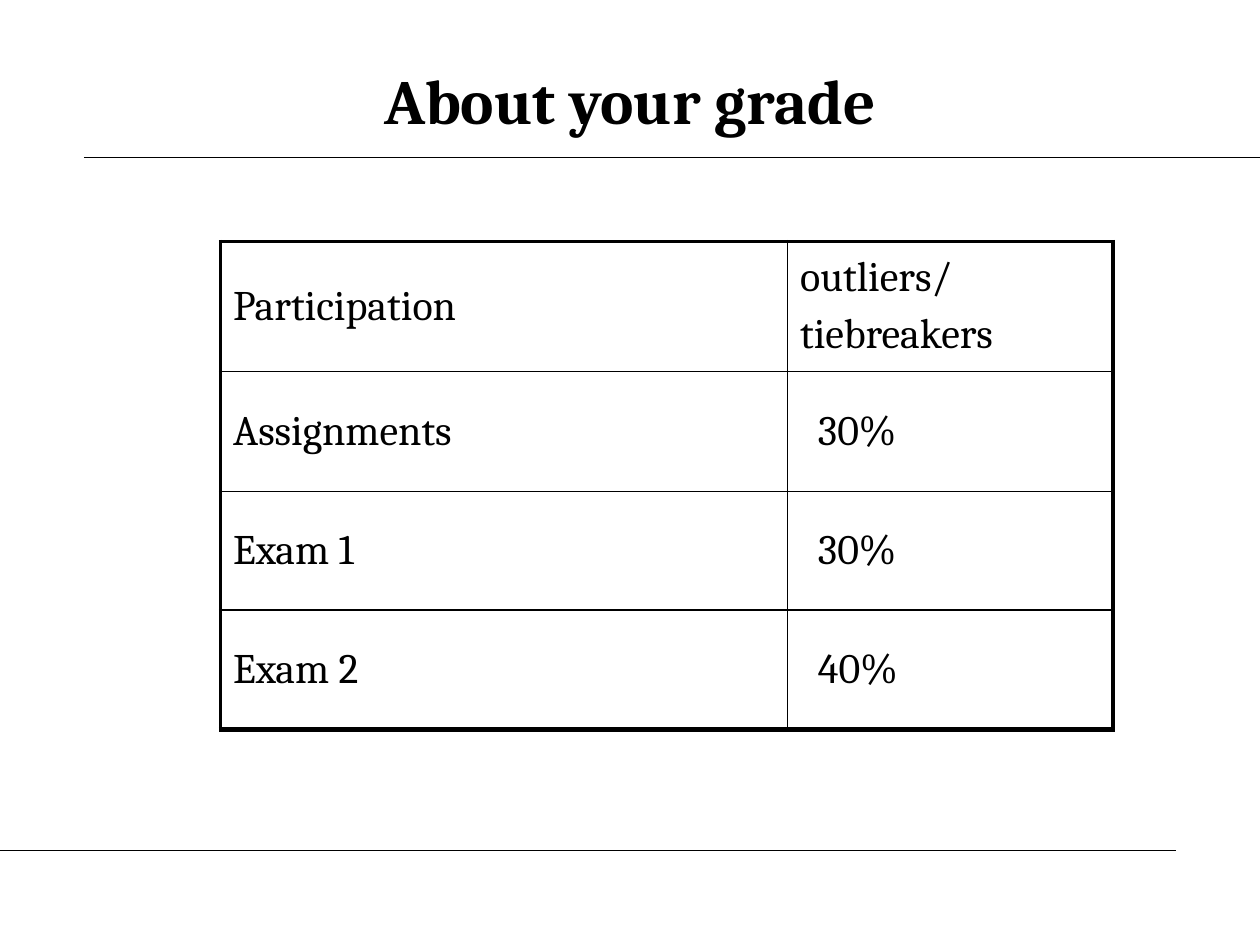
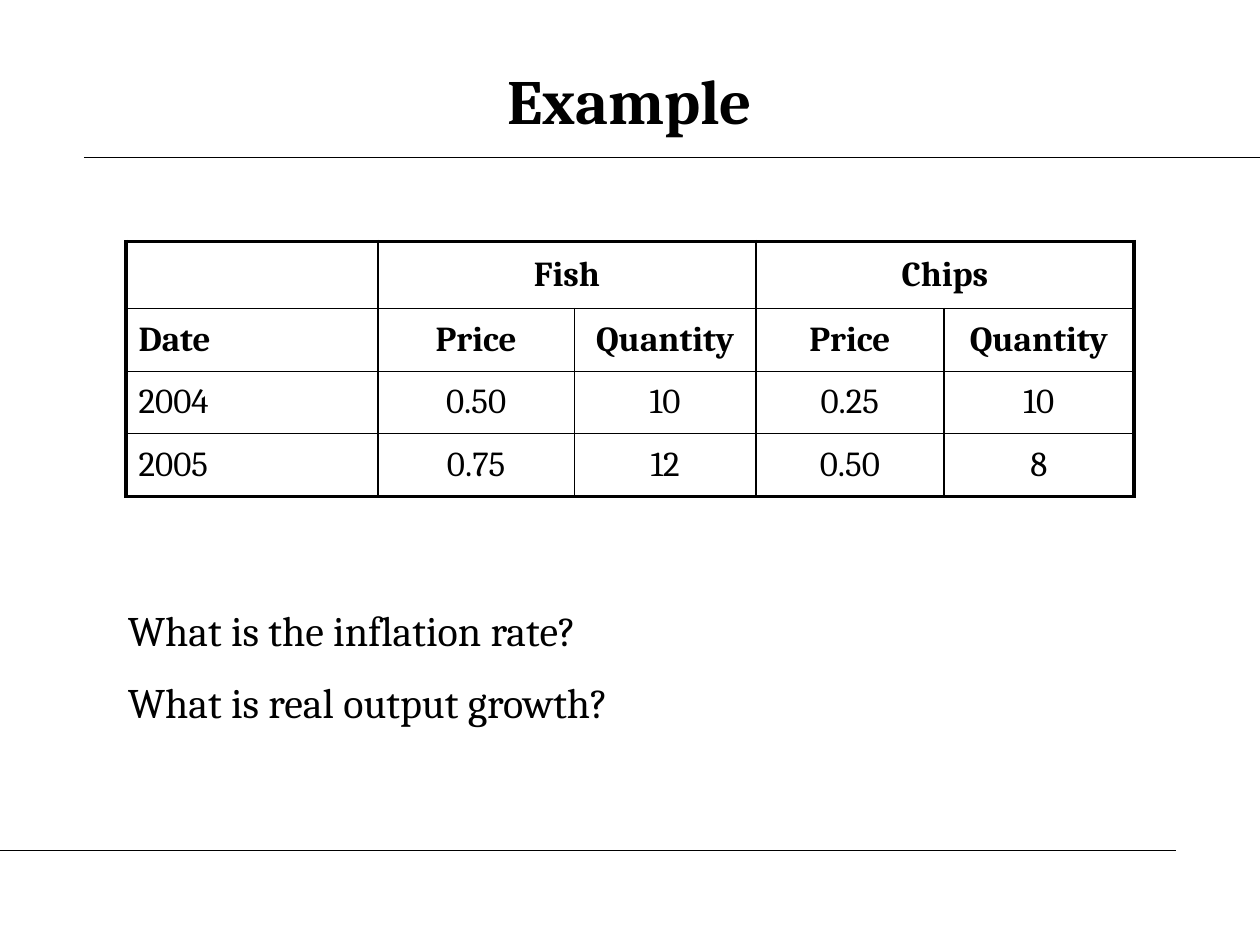
"""Build two ruled lecture slides: a grading table and a price example."""

from lxml.etree import SubElement
from pptx import Presentation
from pptx.dml.color import RGBColor
from pptx.enum.shapes import MSO_CONNECTOR
from pptx.enum.text import MSO_ANCHOR, PP_ALIGN
from pptx.oxml.ns import qn
from pptx.util import Inches, Pt

BLACK = RGBColor(0x00, 0x00, 0x00)
FONT = "Cambria"
WIDTH, HEIGHT = Inches(10), Inches(7.5)
GRID = WIDTH // 120
TABLE_TOP = 23
THIN, OUTER, HEAVY = Pt(1), Pt(2.25), Pt(3)


def write_text(frame, lines, size, bold=False, align=PP_ALIGN.LEFT, before=0):
    frame.word_wrap = True
    for index, line in enumerate(lines):
        para = frame.paragraphs[0] if index == 0 else frame.add_paragraph()
        for name, value in {"alignment": align, "space_before": Pt(size * before)}.items():
            setattr(para, name, value)
        span = para.add_run()
        span.text = line
        for name, value in {"name": FONT, "size": Pt(size), "bold": bold}.items():
            setattr(span.font, name, value)
        span.font.color.rgb = BLACK


def draw_border(cell, side, width):
    line = SubElement(cell._tc.get_or_add_tcPr(), qn(f"a:{side}"), w=str(width))
    fill = SubElement(line, qn("a:solidFill"))
    SubElement(fill, qn("a:srgbClr"), val=str(BLACK))


slides = [
    {
        "title": "About your grade",
        "left": 21,
        "columns": [54, 31],
        "rows": [12.4, 11.4, 11.3, 11.4],
        "cells": [
            ["Participation", "outliers/\ntiebreakers"],
            ["Assignments", "30%"],
            ["Exam 1", "30%"],
            ["Exam 2", "40%"],
        ],
        "merges": [],
        "size": 24,
        "bold_rows": 0,
        "value_align": PP_ALIGN.LEFT,
        "value_indent": 1.7,
        "bottom": HEAVY,
        "questions": [],
    },
    {
        "title": "Example",
        "left": 12,
        "columns": [24, 18.7, 17.3, 17.9, 18.1],
        "rows": [6.4, 6, 5.9, 6],
        "cells": [
            ["", "Fish", "", "Chips", ""],
            ["Date", "Price", "Quantity", "Price", "Quantity"],
            ["2004", "0.50", "10", "0.25", "10"],
            ["2005", "0.75", "12", "0.50", "8"],
        ],
        "merges": [1, 3],
        "size": 20,
        "bold_rows": 2,
        "value_align": PP_ALIGN.CENTER,
        "value_indent": 0,
        "bottom": OUTER,
        "questions": ["What is the inflation rate?", "What is real output growth?"],
    },
]

deck = Presentation()
deck.slide_width, deck.slide_height = WIDTH, HEIGHT

for content in slides:
    page = deck.slides.add_slide(deck.slide_layouts[6])

    for start, end, level in [(8, 120, 15), (0, 112, 81)]:
        rule = page.shapes.add_connector(
            MSO_CONNECTOR.STRAIGHT, start * GRID, level * GRID, end * GRID, level * GRID
        )
        rule.line.color.rgb = BLACK
        rule.line.width = Pt(0.75)
        SubElement(rule._element.spPr, qn("a:effectLst"))

    title = page.shapes.add_textbox(6 * GRID, 4 * GRID, 108 * GRID, 11 * GRID)
    title.text_frame.vertical_anchor = MSO_ANCHOR.MIDDLE
    write_text(title.text_frame, [content["title"]], 36, bold=True, align=PP_ALIGN.CENTER)

    columns, rows = content["columns"], content["rows"]
    table = page.shapes.add_table(
        len(rows), len(columns), content["left"] * GRID, TABLE_TOP * GRID,
        int(sum(columns) * GRID), int(sum(rows) * GRID),
    ).table
    table.first_row = table.horz_banding = False
    for column, width in zip(table.columns, columns):
        column.width = int(width * GRID)
    for row, height in zip(table.rows, rows):
        row.height = int(height * GRID)
    for first in content["merges"]:
        table.cell(0, first).merge(table.cell(0, first + 1))

    for r, texts in enumerate(content["cells"]):
        for c, text in enumerate(texts):
            cell = table.cell(r, c)
            cell.vertical_anchor = MSO_ANCHOR.MIDDLE
            borders = {
                "lnL": OUTER if c == 0 else THIN,
                "lnR": OUTER if c + cell.span_width >= len(columns) else THIN,
                "lnT": OUTER if r == 0 else THIN,
                "lnB": content["bottom"] if r == len(rows) - 1 else THIN,
            }
            for side, width in borders.items():
                draw_border(cell, side, width)
            cell.fill.background()
            if c and r:
                cell.margin_left += int(content["value_indent"] * GRID)
            if text:
                write_text(
                    cell.text_frame, text.split("\n"), content["size"],
                    bold=r < content["bold_rows"],
                    align=content["value_align"] if c else PP_ALIGN.LEFT,
                    before=0.2,
                )

    if content["questions"]:
        box = page.shapes.add_textbox(11 * GRID, 57 * GRID, 87 * GRID, int(13.2 * GRID))
        write_text(box.text_frame, content["questions"], 24, before=0.5)

deck.save("out.pptx")
